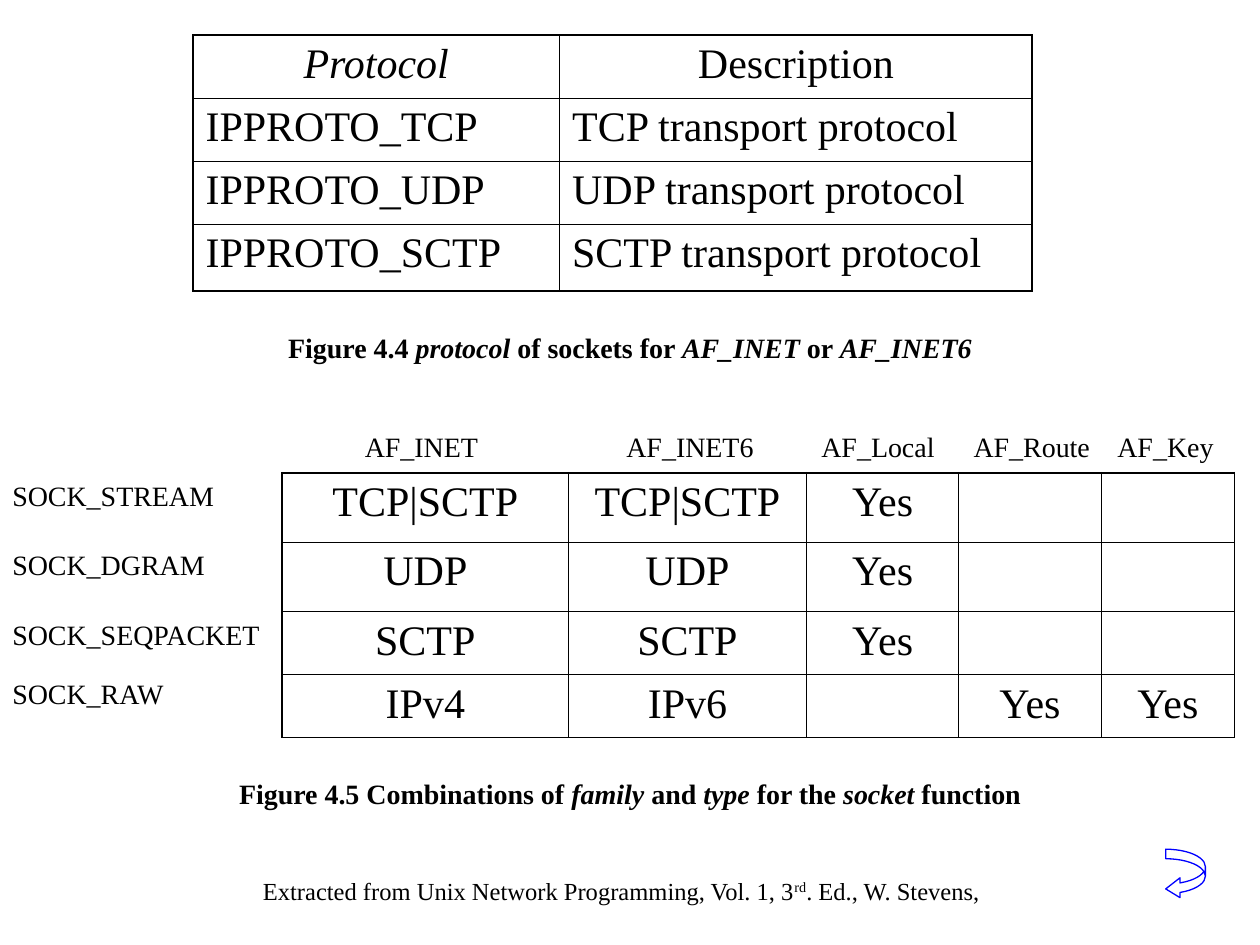
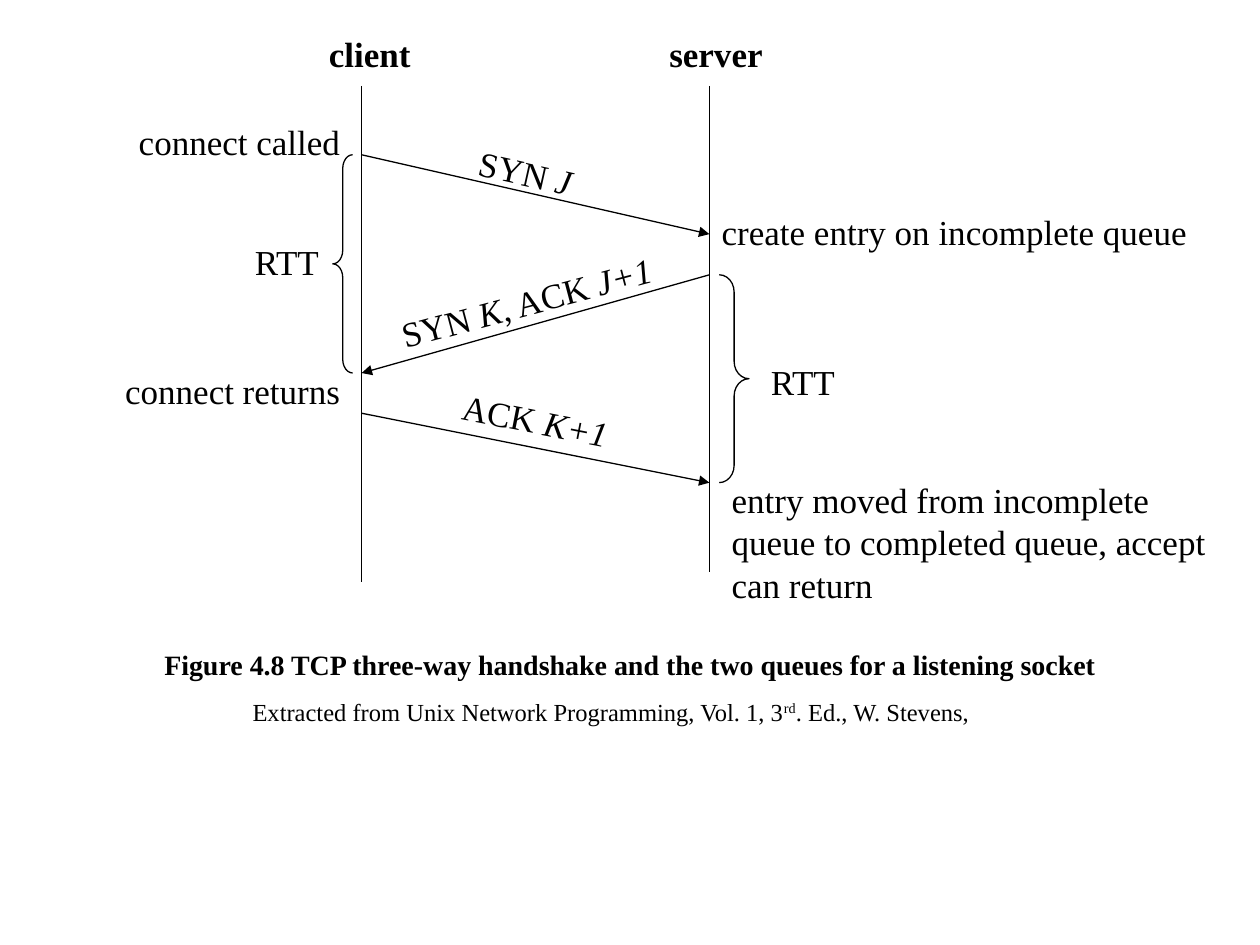
"""Build two slides on socket parameters and the TCP three-way handshake."""
from lxml import etree
from pptx import Presentation
from pptx.dml.color import RGBColor
from pptx.enum.shapes import MSO_CONNECTOR, MSO_SHAPE
from pptx.enum.text import PP_ALIGN
from pptx.oxml.ns import qn
from pptx.util import Cm, Pt

BLACK = RGBColor(0x00, 0x00, 0x00)
BLUE = RGBColor(0x00, 0x00, 0xFF)
LEFT, CENTER, RIGHT = PP_ALIGN.LEFT, PP_ALIGN.CENTER, PP_ALIGN.RIGHT
LEFT_BRACE, RIGHT_BRACE = MSO_SHAPE.LEFT_BRACE, MSO_SHAPE.RIGHT_BRACE
RETURN_ARROW = MSO_SHAPE.CURVED_LEFT_ARROW
STRAIGHT = MSO_CONNECTOR.STRAIGHT
FONT = "Times New Roman"
PAGE_WIDTH, PAGE_HEIGHT = 25.4, 19.05
THIN, THICK = Pt(0.45), Pt(1.08)
SOURCE = "Extracted from Unix Network Programming, Vol. 1, 3*rd*. Ed., W. Stevens,"


def write_text(frame, text, size=20, align=LEFT, bold=False, raised=False):
    """Write text whose starred parts are italic, or superscript if raised."""
    para = frame.paragraphs[0]
    para.alignment = align
    for index, part in enumerate(text.split("*")):
        if not part:
            continue
        span = para.add_run()
        span.text = part
        span.font.name = FONT
        span.font.size = Pt(size)
        span.font.bold = bold
        span.font.color.rgb = BLACK
        if index % 2 and raised:
            span.font._element.set("baseline", "30000")
        elif index % 2:
            span.font.italic = True


class Deck:
    """Hold the presentation, its style and the current page."""

    def __init__(self):
        self.file = Presentation()
        self.file.slide_width = Cm(PAGE_WIDTH)
        self.file.slide_height = Cm(PAGE_HEIGHT)
        self.page = None

    def new_page(self):
        """Add a blank page and make it current."""
        self.page = self.file.slides.add_slide(self.file.slide_layouts[6])

    def text(self, text, left, top, width, height=1.12, rotation=0, **style):
        """Add a wrapped text box."""
        box = self.page.shapes.add_textbox(Cm(left), Cm(top), Cm(width), Cm(height))
        box.rotation = rotation
        box.text_frame.word_wrap = True
        write_text(box.text_frame, text, **style)

    def caption(self, text, top):
        """Add a figure caption across the page."""
        self.text(text, 0, top, PAGE_WIDTH, 0.94, size=16, align=CENTER, bold=True)

    def source(self, left, top):
        """Add the line that names the book."""
        self.text(SOURCE, left, top, 15.49, 0.86, size=14, align=CENTER, raised=True)

    def line(self, start, end, arrow=False):
        """Add a straight line, with an arrowhead at its end if asked."""
        line = self.page.shapes.add_connector(STRAIGHT, *map(Cm, start + end))
        line.line.color.rgb = BLACK
        line.line.width = Pt(0.75)
        if arrow:
            etree.SubElement(line.line._get_or_add_ln(), qn("a:tailEnd"), type="triangle")
        etree.SubElement(line._element.spPr, qn("a:effectLst"))

    def outline(self, kind, left, top, width, height, adjustments, color=BLACK):
        """Add an unfilled preset shape."""
        shape = self.page.shapes.add_shape(kind, Cm(left), Cm(top), Cm(width), Cm(height))
        shape.shadow.inherit = False
        shape.fill.background()
        shape.line.color.rgb = color
        shape.line.width = Pt(0.75)
        for index, value in enumerate(adjustments):
            shape.adjustments[index] = value

    def table(self, left, top, widths, heights, rows, align):
        """Add a ruled table; align gives the alignment of a row by its index."""
        frame = self.page.shapes.add_table(
            len(rows), len(widths), Cm(left), Cm(top), Cm(sum(widths)), Cm(sum(heights)))
        table = frame.table
        table.first_row = table.horz_banding = False
        for column, width in zip(table.columns, widths):
            column.width = Cm(width)
        for r, (height, texts) in enumerate(zip(heights, rows)):
            table.rows[r].height = Cm(height)
            for c, text in enumerate(texts):
                cell = table.cell(r, c)
                write_text(cell.text_frame, text, size=24, align=align(r))
                self.rule_cell(cell, {
                    "a:lnL": c == 0, "a:lnR": c == len(widths) - 1,
                    "a:lnT": r == 0, "a:lnB": r == len(rows) - 1})

    def rule_cell(self, cell, sides):
        """Draw cell borders, thick on the outer sides."""
        properties = cell._tc.get_or_add_tcPr()
        for tag, outer in sides.items():
            border = etree.SubElement(properties, qn(tag), w=str(THICK if outer else THIN))
            fill = etree.SubElement(border, qn("a:solidFill"))
            etree.SubElement(fill, qn("a:srgbClr"), val=str(BLACK))
        cell.fill.background()


def add_socket_tables(deck):
    """Show protocol constants and the family and type combinations."""
    deck.new_page()
    protocols = [["*Protocol*", "Description"]] + [
        [f"IPPROTO_{name}", f"{name} transport protocol"] for name in ("TCP", "UDP", "SCTP")]
    deck.table(3.89, 0.71, [7.39, 9.53], [1.27, 1.27, 1.27, 1.35], protocols,
               lambda row: LEFT if row else CENTER)
    deck.caption("Figure 4.4 *protocol* of sockets for *AF_INET* or *AF_INET6*", 6.53)

    combinations = [
        ["TCP|SCTP", "TCP|SCTP", "Yes", "", ""],
        ["UDP", "UDP", "Yes", "", ""],
        ["SCTP", "SCTP", "Yes", "", ""],
        ["IPv4", "IPv6", "", "Yes", "Yes"]]
    deck.table(5.69, 9.53, [5.77, 4.8, 3.07, 2.87, 2.69], [1.4, 1.4, 1.27, 1.27],
               combinations, lambda row: CENTER)
    families = [("AF_INET", 5.69, 5.61), ("AF_INET6", 11.51, 4.8), ("AF_Local", 16.1, 3.2),
                ("AF_Route", 19.3, 3), ("AF_Key", 22.1, 2.79)]
    for family, left, width in families:
        deck.text(family, left, 8.53, width, 0.94, size=16, align=CENTER)
    types = [("STREAM", 9.53), ("DGRAM", 10.92), ("SEQPACKET", 12.32), ("RAW", 13.51)]
    for name, top in types:
        deck.text(f"SOCK_{name}", 0, top, 5.69, 0.94, size=16)
    deck.caption("Figure 4.5 Combinations of *family* and *type* for the *socket* function", 15.52)
    deck.source(4.78, 17.53)
    deck.outline(RETURN_ARROW, 23.5, 17.12, 0.8, 1, [0.24, 0.5, 0.36], BLUE)


def add_handshake(deck):
    """Show the messages between client and server over time."""
    deck.new_page()
    client, server = 7.29, 14.3
    syn_sent, syn_received = 3.12, 4.72
    reply_sent, reply_received = 5.54, 7.52
    ack_sent, ack_received = 8.33, 9.73

    deck.line((client, 1.73), (client, 11.73))
    deck.line((server, 1.73), (server, 11.53))
    for name, left in (("client", 5.31), ("server", 12.29)):
        deck.text(name, left, 0.53, 4.29, align=CENTER, bold=True)

    deck.line((client, syn_sent), (server, syn_received), arrow=True)
    deck.line((server, reply_sent), (client, reply_received), arrow=True)
    deck.line((client, ack_sent), (server, ack_received), arrow=True)
    messages = [("SYN *J*", 7.09, 2.92, 12.8), ("SYN *K*, ACK *J+1*", 7.11, 5.54, 345),
                ("ACK *K+1*", 7.29, 7.92, 11.1)]
    for message, left, top, rotation in messages:
        deck.text(message, left, top, 7.01, rotation=rotation, align=CENTER)

    deck.text("connect called", 0, 2.31, 7.11, align=RIGHT)
    deck.text("connect returns", 0, 7.32, 7.11, align=RIGHT)
    deck.text("create entry on incomplete queue", server, 4.11, 11.1)
    deck.text("entry moved from incomplete queue to completed queue, accept can return",
              14.5, 9.53, 10.21, 2.79)

    deck.outline(LEFT_BRACE, 6.71, syn_sent, 0.4, reply_received - syn_sent, [0.69, 0.5])
    deck.outline(RIGHT_BRACE, 14.5, reply_sent, 0.6, ack_received - reply_sent, [0.58, 0.5])
    deck.text("RTT", 4.29, 4.72, 2.39, align=RIGHT)
    deck.text("RTT", 15.29, 7.14, 2.39)

    deck.caption("Figure 4.8 TCP three-way handshake and the two queues for a listening socket", 12.93)
    deck.source(4.57, 13.92)


def main():
    """Build and save the deck."""
    deck = Deck()
    add_socket_tables(deck)
    add_handshake(deck)
    deck.file.save("out.pptx")


if __name__ == "__main__":
    main()
